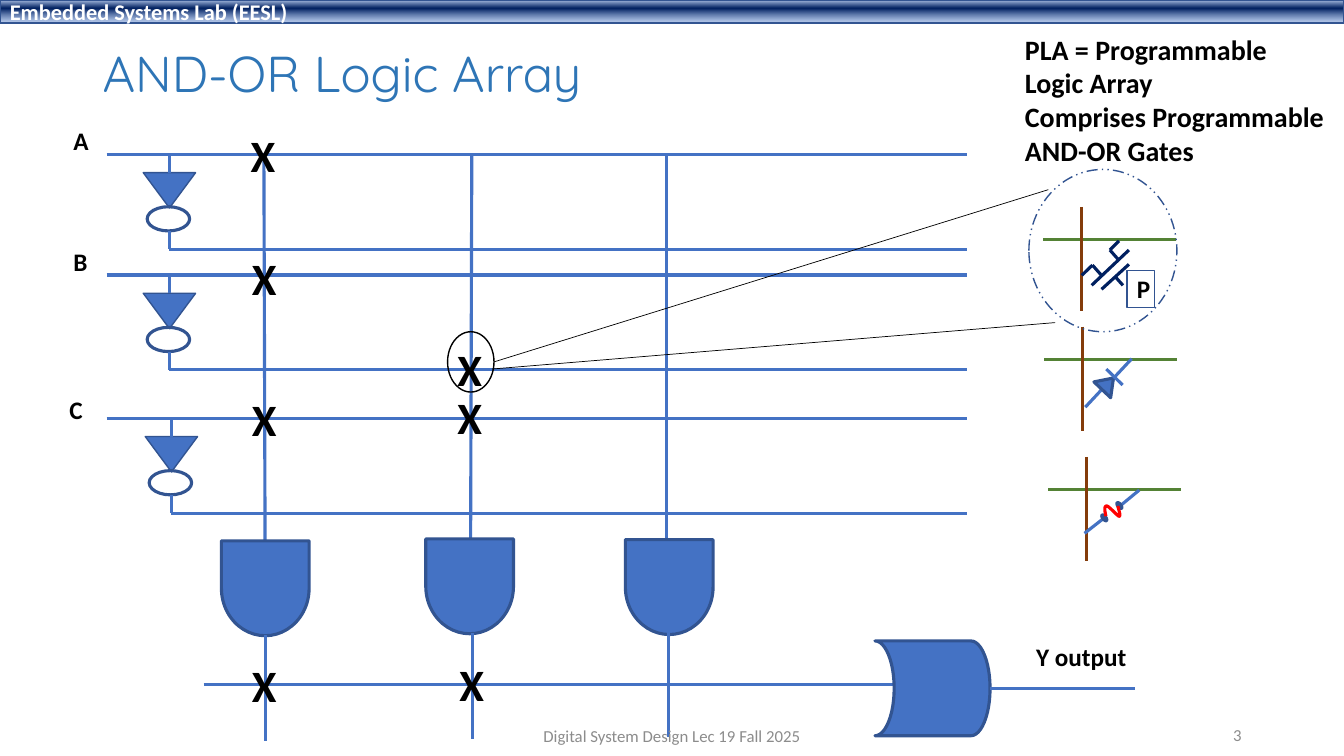
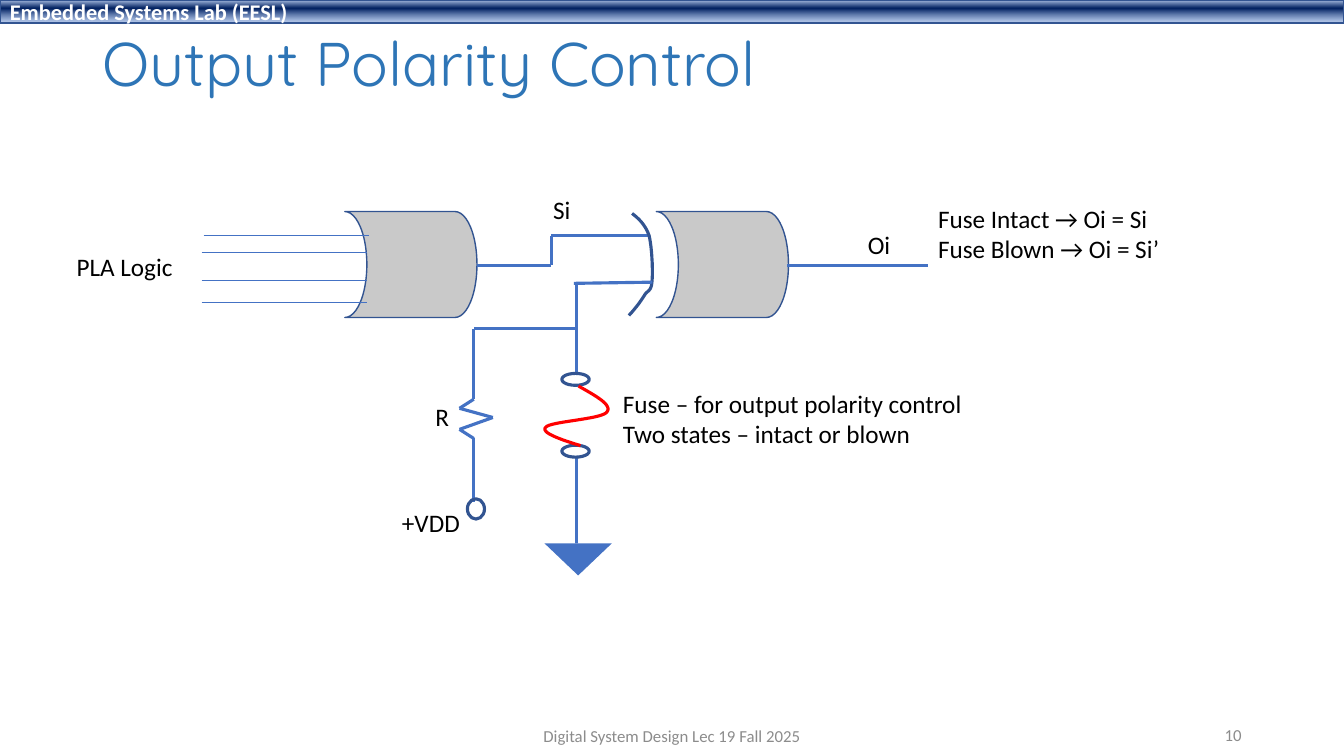
from itertools import pairwise

from pptx import Presentation
from pptx.dml.color import RGBColor
from pptx.enum.dml import MSO_LINE, MSO_PATTERN
from pptx.enum.shapes import MSO_CONNECTOR, MSO_SHAPE
from pptx.enum.text import MSO_ANCHOR, MSO_AUTO_SIZE, PP_ALIGN
from pptx.oxml import parse_xml
from pptx.oxml.ns import nsdecls, qn
from pptx.util import Cm, Pt

BLUE, EDGE, NAVY = "4472C4", "325491", "002060"
TITLE, MUTED, GATE = "2E75B6", "8C8C8C", "C9C9C9"
GREEN, BROWN, RED = "548235", "843C0B", "FF0000"
BLACK, WHITE = "000000", "FFFFFF"

BAND_FILL = f"""<a:gradFill {nsdecls('a')} rotWithShape="1"><a:gsLst>
<a:gs pos="2000"><a:srgbClr val="ABC0E4"/></a:gs>
<a:gs pos="38000"><a:srgbClr val="{NAVY}"/></a:gs>
<a:gs pos="93000"><a:srgbClr val="7E9ED6"><a:alpha val="64000"/></a:srgbClr></a:gs>
</a:gsLst><a:lin ang="5400000" scaled="0"/></a:gradFill>"""


def rgb(color):
    return RGBColor.from_string(color)


def format_text(tf, text, size, color, bold=False, align=PP_ALIGN.LEFT, font="Calibri"):
    tf.text = text
    for p in tf.paragraphs:
        p.alignment = align
        for r in p.runs:
            r.font.name, r.font.size, r.font.bold = font, Pt(size), bold
            r.font.color.rgb = rgb(color)


def place(sp, x, y, w, h):
    sp.left, sp.top, sp.width, sp.height = Cm(x), Cm(y), Cm(w), Cm(h)


def label(s, x, y, w, h, text, size=18, bold=False):
    tf = s.shapes.add_textbox(Cm(x), Cm(y), Cm(w), Cm(h)).text_frame
    tf.word_wrap = False
    tf.auto_size = MSO_AUTO_SIZE.SHAPE_TO_FIT_TEXT
    format_text(tf, text, size, BLACK, bold)


def paint(sp, fill, line, width):
    sp.shadow.inherit = False
    if fill:
        sp.fill.solid()
        sp.fill.fore_color.rgb = rgb(fill)
    else:
        sp.fill.background()
    if line:
        sp.line.color.rgb = rgb(line)
        sp.line.width = Pt(width)
    else:
        sp.line.fill.background()


def shape(s, kind, x, y, w, h, fill=None, line=EDGE, width=2.25, rotation=0):
    sp = s.shapes.add_shape(kind, Cm(x), Cm(y), Cm(w), Cm(h))
    paint(sp, fill, line, width)
    sp.rotation = rotation
    return sp


def wire(s, x, y, points, color=BLUE, width=2.25):
    for (x1, y1), (x2, y2) in pairwise(points):
        c = s.shapes.add_connector(
            MSO_CONNECTOR.STRAIGHT, Cm(x + x1), Cm(y + y1), Cm(x + x2), Cm(y + y2))
        c.line.color.rgb = rgb(color)
        c.line.width = Pt(width)
        c.element.spPr.append(parse_xml(f"<a:effectLst {nsdecls('a')}/>"))


def bezier(p0, p1, p2, p3, t):
    u = 1 - t
    return tuple(u**3 * a + 3 * u * u * t * b + 3 * u * t * t * c + t**3 * d
                 for a, b, c, d in zip(p0, p1, p2, p3))


def curve(s, x, y, points, color, steps=16):
    outline = [points[0]]
    for i in range(0, len(points) - 1, 3):
        outline += [bezier(*points[i:i + 4], n / steps) for n in range(1, steps + 1)]
    outline = [(Cm(x + px), Cm(y + py)) for px, py in outline]
    fb = s.shapes.build_freeform(*outline[0])
    fb.add_line_segments(outline[1:], close=False)
    paint(fb.convert_to_shape(), None, color, 2.25)


def add_band(prs, layout):
    s = prs.slides[0]
    band = shape(s, MSO_SHAPE.RECTANGLE, 0, 0, 33.87, 0.58, width=1)
    spPr = band.element.spPr
    spPr.replace(spPr.find(qn("a:noFill")), parse_xml(BAND_FILL))
    tf = band.text_frame
    tf.vertical_anchor = MSO_ANCHOR.MIDDLE
    format_text(tf, "Embedded Systems Lab (EESL)", 16, WHITE, True)
    layout.shapes.element.append(band.element)


def add_slide(prs, layout, title, size, y, h):
    s = prs.slides.add_slide(layout)
    place(s.shapes.title, 2.33, y, 29.2, h)
    tf = s.shapes.title.text_frame
    tf.auto_size = MSO_AUTO_SIZE.NONE
    tf.vertical_anchor = MSO_ANCHOR.MIDDLE
    format_text(tf, title, size, TITLE, font="Quicksand")
    tf.paragraphs[0].line_spacing = 0.9
    return s


def add_footer(s, number):
    for x, y, w, text, align in (
            (23.92, 18.01, 7.62, number, PP_ALIGN.RIGHT),
            (11.22, 18.03, 11.43, "Digital System Design Lec 19 Fall 2025", PP_ALIGN.CENTER)):
        tf = s.shapes.add_textbox(Cm(x), Cm(y), Cm(w), Cm(1.01)).text_frame
        tf.word_wrap = True
        tf.vertical_anchor = MSO_ANCHOR.MIDDLE
        format_text(tf, text, 12, MUTED, align=align)


def input_pair(s, x, y, name, stem, label_x, label_y):
    wire(s, x, y, [(0, 0), (21.69, 0)])
    wire(s, x, y, [(stem, 2.39), (21.69, 2.39)])
    label(s, x + label_x, y + label_y, 0.88, 1.02, name, bold=True)
    shape(s, MSO_SHAPE.ISOSCELES_TRIANGLE, x + stem - 0.66, y + 0.46, 1.32, 0.89,
          BLUE, width=1, rotation=180)
    shape(s, MSO_SHAPE.OVAL, x + stem - 0.56, y + 1.32, 1.07, 0.61)
    wire(s, x, y, [(stem, 0), (stem, 0.46)])
    wire(s, x, y, [(stem, 1.93), (stem, 2.39)])


def and_column(s, x, y, line_top, line_bottom, stem_x, stem_y):
    wire(s, x, 0, [(line_top, 3.88), (line_bottom, 13.64)])
    shape(s, MSO_SHAPE.FLOWCHART_DELAY, x, y, 2.39, 2.21, BLUE, rotation=90)
    wire(s, x, stem_y, [(stem_x, 0), (stem_x, 2.67)])


def or_row(s, x, y):
    wire(s, x, y, [(0, 0), (17.78, 0)])
    or_gate(s, x + 16.92, y - 1.1, 2.9, 2.39, BLUE, 2.25)
    wire(s, x, y, [(19.81, 0.1), (23.47, 0.1)])
    label(s, x + 20.73, y - 1.22, 2.82, 1.02, "Y output", bold=True)


def or_gate(s, x, y, w, h, fill, width):
    shape(s, MSO_SHAPE.FLOWCHART_STORED_DATA, x, y, w, h, fill, width=width, rotation=180)


def crossing(s, x, y):
    wire(s, x, y, [(0, 0.83), (3.35, 0.83)], GREEN)
    wire(s, x, y, [(0.96, 0), (0.96, 2.62)], BROWN)


def transistor_cell(s, x, y):
    crossing(s, x, y)
    for points in (
            [(1.22, 1.98), (2.16, 1.09)],
            [(1.47, 2.08), (2.16, 1.45)],
            [(1.47, 1.73), (1.24, 1.47), (0.97, 1.73)],
            [(1.91, 1.35), (1.68, 1.09), (1.91, 0.86)],
            [(1.83, 1.78), (2.01, 1.98)]):
        wire(s, x, y, points, NAVY)
    sp = shape(s, MSO_SHAPE.RECTANGLE, x + 2.11, y + 1.6, 0.69, 0.94, width=1)
    sp.text_frame.vertical_anchor = MSO_ANCHOR.MIDDLE
    format_text(sp.text_frame, "P", 18, BLACK, True, PP_ALIGN.CENTER)


def diode_cell(s, x, y):
    crossing(s, x, y)
    wire(s, x, y, [(1.04, 2.03), (1.47, 1.57)])
    shape(s, MSO_SHAPE.ISOSCELES_TRIANGLE, x + 1.32, y + 1.24, 0.58, 0.41, BLUE, rotation=43.5)
    wire(s, x, y, [(1.57, 1.07), (1.98, 1.47)])
    wire(s, x, y, [(1.78, 1.27), (2.21, 0.81)])


def fuse_cell(s, x, y):
    crossing(s, x, y)
    wire(s, x, y, [(0.91, 1.93), (1.37, 1.57)])
    wire(s, x, y, [(1.83, 1.22), (2.29, 0.84)])
    for dx, dy in ((1.37, 1.45), (1.75, 1.14)):
        shape(s, MSO_SHAPE.OVAL, x + dx, y + dy, 0.08, 0.18, rotation=321.6)
    curve(s, x, y, [(1.45, 1.5), (1.42, 1.37), (1.4, 1.24), (1.47, 1.24), (1.52, 1.24),
                    (1.75, 1.5), (1.78, 1.5), (1.83, 1.5), (1.78, 1.37), (1.75, 1.24)], RED)


def zoom_callout(s, x, y):
    wire(s, x, y, [(1.17, 0.76), (15.14, -3.58)], BLACK, 0.5)
    wire(s, x, y, [(1.12, 0.94), (15.31, -0.23)], BLACK, 0.5)
    sp = shape(s, MSO_SHAPE.OVAL, x + 14.65, y - 4.09, 3.73, 4.09, width=1)
    sp.line.dash_style = MSO_LINE.DASH_DOT_DOT
    shape(s, MSO_SHAPE.OVAL, x, y, 1.17, 1.52, line=BLACK, width=1)


def logic_array(s):
    for row in ((3.89, "A", 1.58, -1.09, -0.86), (6.93, "B", 1.58, -1.09, -0.84),
                (10.54, "C", 1.63, -1.19, -0.74)):
        input_pair(s, 2.69, *row)
    for column in ((5.49, 13.72, 1.16, 1.19, 1.19, 16),
                   (10.64, 13.67, 1.25, 1.22, 1.27, 15.95),
                   (15.67, 13.69, 1.12, 1.12, 1.17, 15.9)):
        and_column(s, *column)
    or_row(s, 5.13, 17.25)
    for x, y in ((6.07, 3.1), (6.1, 6.2), (6.1, 9.75), (11.28, 8.48),
                 (11.28, 9.7), (6.1, 16.46), (11.33, 16.43)):
        label(s, x, y, 1.14, 1.63, "X", 32, True)
    label(s, 25.58, 0.69, 8.13, 3.68,
          "PLA = Programmable\nLogic Array\nComprises Programmable\nAND-OR Gates", 20, True)
    transistor_cell(s, 26.29, 5.21)
    diode_cell(s, 26.31, 8.23)
    fuse_cell(s, 26.42, 11.51)
    zoom_callout(s, 11.28, 8.36)


def pla_stage(s, x, y):
    or_gate(s, x + 3.61, y, 3.33, 2.67, GATE, 1)
    for dx, dy in ((0.05, 0.61), (0, 1.04), (0, 1.73), (0, 2.29)):
        wire(s, x + dx, y, [(0, dy), (4.17, dy)], width=0.5)
    wire(s, x, y, [(6.93, 1.35), (8.81, 1.35), (8.81, 0.61), (11.28, 0.61)])
    label(s, x + 8.61, y - 0.56, 0.97, 1.02, "Si")
    label(s, x - 3.4, y + 0.89, 2.97, 1.02, "PLA Logic")


def xor_stage(s, x, y):
    or_gate(s, x + 0.69, y, 3.33, 2.67, GATE, 1)
    curve(s, x, y, [(0.08, 0.05), (0.25, 0.18), (0.41, 0.33), (0.51, 0.61), (0.58, 0.91),
                    (0.61, 1.52), (0.58, 1.78), (0.56, 2.03), (0.46, 1.98), (0.38, 2.13),
                    (0.28, 2.29), (0.15, 2.46), (0, 2.62)], EDGE)
    wire(s, x, y, [(3.99, 1.35), (7.54, 1.35)])
    label(s, x + 5.77, y + 0.33, 1.09, 1.02, "Oi")
    label(s, x + 7.54, y - 0.33, 6.12, 1.8, "Fuse Intact → Oi = Si\nFuse Blown → Oi = Si’")


def pull_up(s, x, y):
    wire(s, x, y, [(2.95, 0), (0.36, 0), (0.36, 1.78), (0, 2.01), (0.84, 2.24),
                   (0, 2.54), (0.36, 2.77), (0.36, 4.37)])
    shape(s, MSO_SHAPE.OVAL, x + 0.2, y + 4.29, 0.43, 0.51)
    label(s, x - 1.7, y + 4.37, 1.98, 1.02, "+VDD")
    label(s, x - 0.86, y + 1.7, 0.86, 1.02, "R")


def fuse_to_ground(s, x, y):
    wire(s, x, y, [(2.72, -0.03), (0.74, 0)])
    wire(s, x, y, [(0.81, 0), (0.81, 2.29)])
    wire(s, x, y, [(0.81, 4.39), (0.81, 6.63)])
    for dy in (2.27, 4.08):
        shape(s, MSO_SHAPE.OVAL, x + 0.44, y + dy, 0.69, 0.3)
    curve(s, x, y, [(0.86, 2.59), (1.3, 2.84), (1.73, 3.07), (1.57, 3.25), (1.42, 3.43),
                    (0.13, 3.48), (0.03, 3.63), (-0.1, 3.76), (0.41, 3.94), (0.91, 4.09)], RED)
    ground = shape(s, MSO_SHAPE.ISOSCELES_TRIANGLE, x, y + 6.55, 1.7, 0.81,
                   line=None, rotation=180)
    ground.fill.patterned()
    ground.fill.pattern = MSO_PATTERN.DARK_HORIZONTAL
    ground.fill.fore_color.rgb = rgb(BLUE)
    ground.fill.back_color.rgb = rgb(WHITE)
    label(s, x + 1.73, y + 2.51, 9.14, 1.8,
          "Fuse – for output polarity control\nTwo states – intact or blown")


def polarity_control(s):
    pla_stage(s, 5.08, 5.33)
    xor_stage(s, 15.85, 5.33)
    fuse_to_ground(s, 13.72, 7.14)
    pull_up(s, 11.58, 8.28)


def main():
    prs = Presentation()
    prs.slide_width, prs.slide_height = Cm(33.87), Cm(19.05)
    layout = prs.slide_layouts[5]
    s = add_slide(prs, layout, "AND-OR Logic Array", 36, 1.02, 1.78)
    add_band(prs, layout)
    logic_array(s)
    add_footer(s, "3")
    s = add_slide(prs, layout, "Output Polarity Control", 44, 0.38, 2.59)
    polarity_control(s)
    add_footer(s, "10")
    prs.save("out.pptx")


if __name__ == "__main__":
    main()
